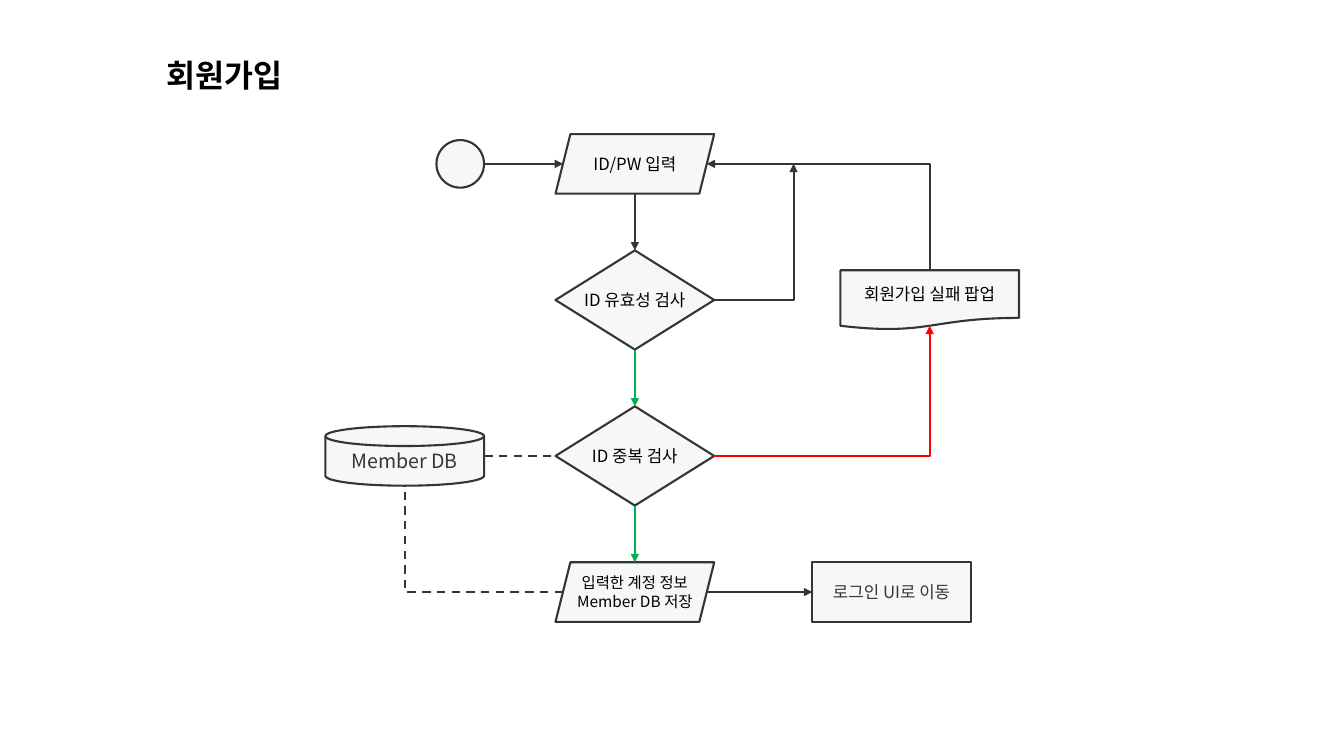
from lxml.etree import SubElement
from pptx import Presentation
from pptx.dml.color import RGBColor
from pptx.enum.dml import MSO_LINE
from pptx.enum.shapes import MSO_CONNECTOR, MSO_SHAPE
from pptx.enum.text import MSO_ANCHOR, MSO_AUTO_SIZE, PP_ALIGN
from pptx.oxml.ns import qn
from pptx.util import Cm, Pt

# Content
TITLE = "회원가입"
FONT = "Noto Sans CJK KR"
INK, BLACK, PALE, GREEN, RED = "353535", "000000", "F7F7F7", "00B050", "FF0000"

# Layout rules, in centimetres
GAP = 1.43
SIZES = {"start": (1.2, 1.2), "step": (4, 1.5), "check": (4, 2.5), "popup": (4.5, 1.5)}
MAIN, POPUP_X, RETURN_X = 16, 23.43, 20
INPUT_Y = 4.13
VALID_Y = INPUT_Y + 0.75 + GAP + 1.25
UNIQUE_Y = VALID_Y + 2.5 + GAP
STORE_Y = UNIQUE_Y + 1.25 + GAP + 0.75

# name: shape, size, centre x, centre y, lines, text size, text colour
BOXES = {
    "start": (MSO_SHAPE.OVAL, "start", 11.6, INPUT_Y, [], 12, BLACK),
    "input": (MSO_SHAPE.PARALLELOGRAM, "step", MAIN, INPUT_Y, ["ID/PW 입력"], 12, BLACK),
    "valid": (MSO_SHAPE.DIAMOND, "check", MAIN, VALID_Y, ["ID 유효성 검사"], 12, BLACK),
    "popup": (MSO_SHAPE.FLOWCHART_DOCUMENT, "popup", POPUP_X, VALID_Y,
              ["회원가입 실패 팝업"], 12, BLACK),
    "unique": (MSO_SHAPE.DIAMOND, "check", MAIN, UNIQUE_Y, ["ID 중복 검사"], 12, BLACK),
    "members": (MSO_SHAPE.FLOWCHART_MAGNETIC_DISK, "step", 10.2, UNIQUE_Y,
                ["Member DB"], 14, INK),
    "store": (MSO_SHAPE.PARALLELOGRAM, "step", MAIN, STORE_Y,
              ["입력한 계정 정보", "Member DB 저장"], 11, BLACK),
    "login": (MSO_SHAPE.RECTANGLE, "step", 22.47, STORE_Y, ["로그인 UI로 이동"], 12, INK),
}
TOP, LEFT, BOTTOM, RIGHT = range(4)
# Distance from a box's frame to its visible outline
INSETS = {("input", LEFT): 0.19, ("input", RIGHT): 0.19, ("store", LEFT): 0.19,
          ("store", RIGHT): 0.19, ("popup", BOTTOM): 0.1}

# from, to, colour, arrowhead end; bent links leave horizontally
STRAIGHT = [
    (("start", RIGHT), ("input", LEFT), INK, "tailEnd"),
    (("input", BOTTOM), ("valid", TOP), INK, "tailEnd"),
    (("valid", BOTTOM), ("unique", TOP), GREEN, "tailEnd"),
    (("unique", BOTTOM), ("store", TOP), GREEN, "tailEnd"),
    (("store", RIGHT), ("login", LEFT), INK, "tailEnd"),
    (("members", RIGHT), ("unique", LEFT), INK, None),
]
BENT = [
    (("input", RIGHT), ("popup", TOP), INK, "headEnd"),
    (("valid", RIGHT), (RETURN_X, INPUT_Y), INK, "tailEnd"),
    (("unique", RIGHT), ("popup", BOTTOM), RED, "tailEnd"),
    (("store", LEFT), ("members", BOTTOM), INK, None),
]


def color(value):
    return RGBColor.from_string(value)


def apply(target, values):
    for name, value in values.items():
        setattr(target, name, value)


def write(para, text, size, ink, bold=False):
    span = para.add_run()
    span.text = text
    apply(span.font, {"name": FONT, "size": Pt(size), "bold": bold})
    span.font.color.rgb = color(ink)
    SubElement(span.font._element, qn("a:ea"), typeface=FONT)


def add_box(page, kind, size, x, y, lines, text_size, ink):
    width, height = SIZES[size]
    box = page.shapes.add_shape(kind, Cm(x - width / 2), Cm(y - height / 2),
                                Cm(width), Cm(height))
    box.shadow.inherit = False
    box.fill.solid()
    box.fill.fore_color.rgb = color(PALE)
    box.line.color.rgb = color(INK)
    box.line.width = Pt(1.5)
    frame = box.text_frame
    apply(frame, {"word_wrap": False, "vertical_anchor": MSO_ANCHOR.MIDDLE,
                  "margin_left": 0, "margin_right": 0, "margin_top": 0, "margin_bottom": 0})
    for index, line in enumerate(lines):
        para = frame.add_paragraph() if index else frame.paragraphs[0]
        para.alignment = PP_ALIGN.CENTER
        write(para, line, text_size, ink)
    return box


def locate(end):
    if end[0] not in BOXES:
        return end
    name, side = end
    _, size, x, y, *_ = BOXES[name]
    width, height = SIZES[size]
    inset = INSETS.get(end, 0)
    dx, dy = width / 2 - inset, height / 2 - inset
    return {TOP: (x, y - dy), LEFT: (x - dx, y), BOTTOM: (x, y + dy), RIGHT: (x + dx, y)}[side]


def add_link(page, kind, start, end, ink, arrow):
    points = [Cm(value) for value in (*locate(start), *locate(end))]
    link = page.shapes.add_connector(kind, *points)
    link.line.color.rgb = color(ink)
    link.line.width = Pt(1.5)
    properties = link.element.spPr
    if arrow:
        SubElement(properties.find(qn("a:ln")), qn("a:" + arrow), type="triangle")
    else:
        link.line.dash_style = MSO_LINE.DASH
    SubElement(properties, qn("a:effectLst"))
    return link


def main():
    deck = Presentation()
    apply(deck, {"slide_width": Cm(33.87), "slide_height": Cm(19.05)})
    page = deck.slides.add_slide(deck.slide_layouts[5])

    # Title
    title = page.shapes.title
    apply(title, {"left": Cm(3.94), "top": Cm(1.4), "width": Cm(19.5), "height": Cm(1.07)})
    apply(title.text_frame, {"vertical_anchor": MSO_ANCHOR.BOTTOM, "word_wrap": True,
                             "auto_size": MSO_AUTO_SIZE.NONE})
    para = title.text_frame.paragraphs[0]
    apply(para, {"alignment": PP_ALIGN.LEFT, "line_spacing": 0.7})
    write(para, TITLE, 22.5, BLACK, bold=True)

    # Boxes
    boxes = {name: add_box(page, *values) for name, values in BOXES.items()}

    # Straight links, joined where the side's middle is a connection site
    joinable = (MSO_SHAPE.DIAMOND, MSO_SHAPE.RECTANGLE)
    for start, end, ink, arrow in STRAIGHT:
        link = add_link(page, MSO_CONNECTOR.STRAIGHT, start, end, ink, arrow)
        for join, (name, side) in ((link.begin_connect, start), (link.end_connect, end)):
            if BOXES[name][0] in joinable:
                join(boxes[name], side)

    # Links with a single bend
    for start, end, ink, arrow in BENT:
        link = add_link(page, MSO_CONNECTOR.ELBOW, start, end, ink, arrow)
        link.element.spPr.find(qn("a:prstGeom")).set("prst", "bentConnector2")

    deck.save("out.pptx")


if __name__ == "__main__":
    main()
